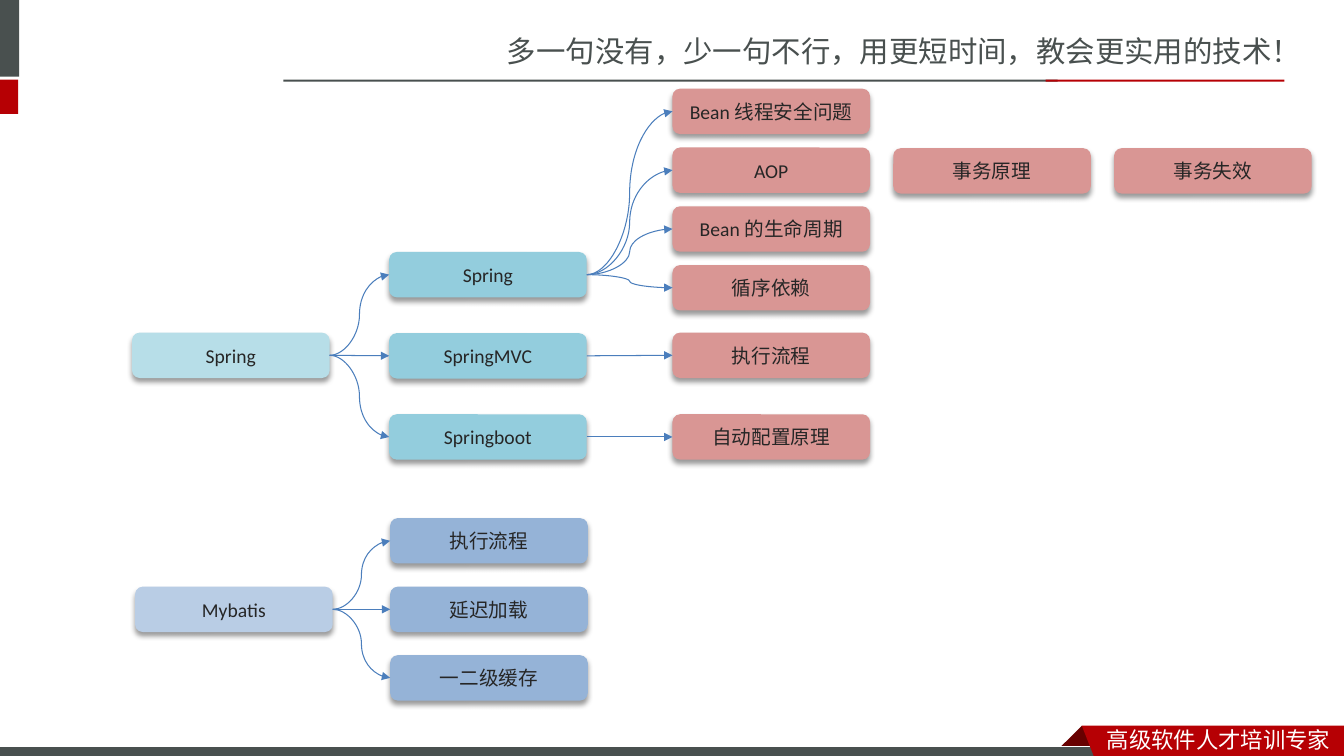
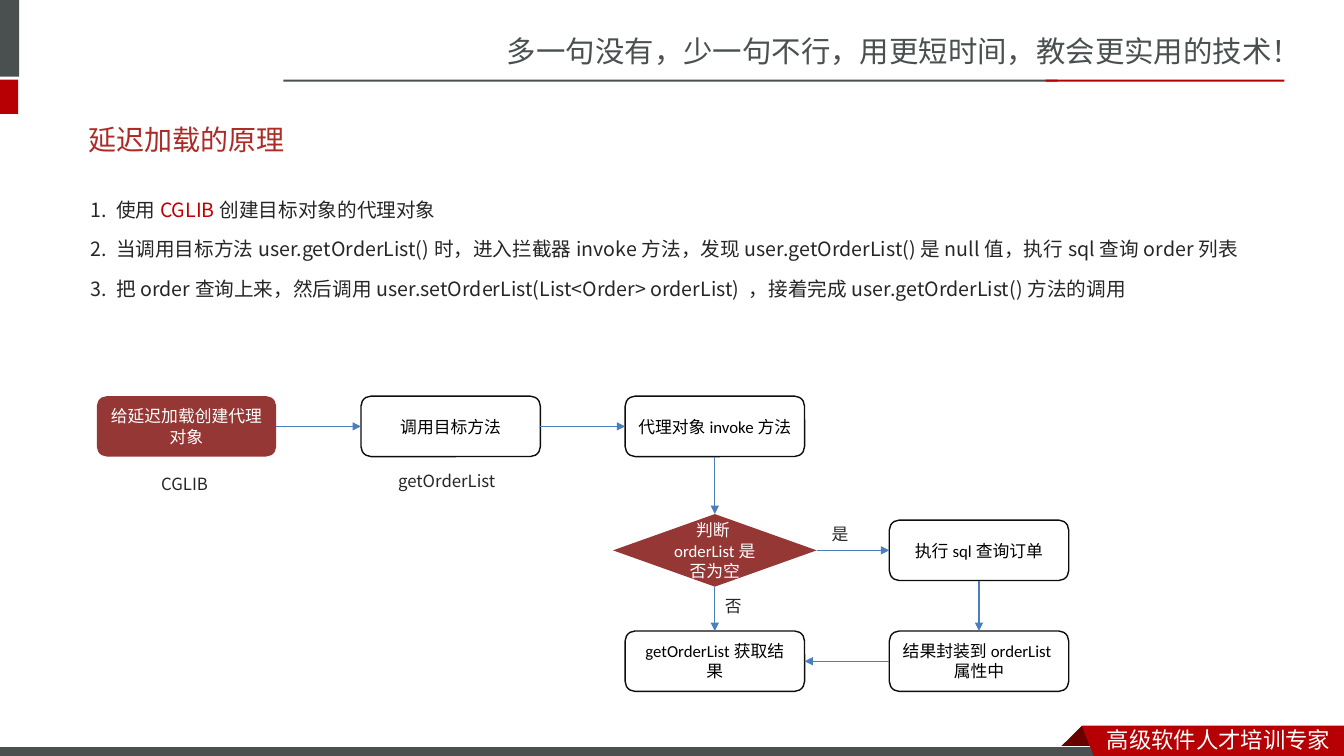
"""Build two slides: a framework topic map and the lazy-loading principle."""
from dataclasses import dataclass

import lxml.etree
import pptx
import pptx.dml.color
import pptx.enum.shapes
import pptx.enum.text
import pptx.oxml.ns
import pptx.shapes.autoshape
import pptx.shapes.connector
import pptx.slide
import pptx.text.text
import pptx.util

Inches = pptx.util.Inches
Shape = pptx.shapes.autoshape.Shape
Kind = pptx.enum.shapes.MSO_SHAPE
Connector = pptx.enum.shapes.MSO_CONNECTOR
Anchor = pptx.enum.text.MSO_ANCHOR
Align = pptx.enum.text.PP_ALIGN
TOP, LEFT, BOTTOM, RIGHT = range(4)


@dataclass(frozen=True)
class Theme:
    grey: str = "49504F"
    red: str = "B60004"
    fold: str = "680000"
    white: str = "FFFFFF"
    black: str = "000000"
    ink: str = "262626"
    title: str = "AD2A26"
    accent: str = "C00000"
    arrow: str = "4B7EBC"
    outline: str = "0D0D0D"
    step: str = "953735"
    spring_root: str = "B7DEE8"
    spring_branch: str = "93CDDD"
    mybatis_root: str = "B9CDE5"
    mybatis_branch: str = "95B3D7"
    topic: str = "D99694"
    slogan_size: float = 21
    title_size: float = 20
    footer_size: float = 16
    body_size: float = 14
    flow_size: float = 12
    line_width: float = 0.75
    outline_width: float = 1
    cjk_font: str = "Noto Sans CJK SC"
    body_font: str = "Noto Sans CJK JP"
    node_font: str = "Calibri"
    title_font: str = "Arial"


THEME = Theme()


@dataclass(frozen=True)
class Box:
    left: float
    top: float
    width: float
    height: float

    def lengths(self) -> tuple[int, ...]:
        return tuple(Inches(value) for value in (self.left, self.top, self.width, self.height))


@dataclass(frozen=True)
class Style:
    size: float
    font: str
    color: str


@dataclass(frozen=True)
class Band:
    box: Box
    color: str
    line: str | None = None


@dataclass(frozen=True)
class Label:
    box: Box
    text: str


BODY = Style(THEME.body_size, THEME.body_font, THEME.ink)
ACCENT = Style(THEME.body_size, THEME.body_font, THEME.accent)
CAPTION = Style(THEME.flow_size, THEME.body_font, THEME.ink)
NODE = Style(THEME.body_size, THEME.node_font, THEME.ink)
FLOW = Style(THEME.flow_size, THEME.node_font, THEME.black)
FLOW_LIGHT = Style(THEME.flow_size, THEME.node_font, THEME.white)

BANDS = (
    Band(Box(-0.06, 0, 0.25, 0.76), THEME.grey),
    Band(Box(-0.06, 0.79, 0.24, 0.34), THEME.red),
    Band(Box(2.81, 0.79, 7.68, 0.02), THEME.grey),
    Band(Box(10.37, 0.79, 2.37, 0.02), THEME.red),
)
FOOTER_BAR = Band(Box(-0.01, 7.41, 11, 0.12), THEME.grey, THEME.white)
FOLD_POINTS = ((10.73, 7.2), (10.95, 7.42), (10.94, 7.43), (10.52, 7.43), (10.51, 7.42))
RIBBON_POINTS = ((10.73, 7.2), (13.33, 7.2), (13.33, 7.54), (10.86, 7.53))


def rgb(color: str) -> pptx.dml.color.RGBColor:
    return pptx.dml.color.RGBColor.from_string(color)


def add_element(parent: lxml.etree._Element, tag: str, **attributes: str) -> lxml.etree._Element:
    return lxml.etree.SubElement(parent, pptx.oxml.ns.qn(tag), attributes)


def paint(shape: Shape, fill: str | None, line: str | None = None,
          width: float = THEME.line_width) -> None:
    shape.shadow.inherit = False
    if fill:
        shape.fill.solid()
        shape.fill.fore_color.rgb = rgb(fill)
    else:
        shape.fill.background()
    if line:
        shape.line.color.rgb = rgb(line)
        shape.line.width = pptx.util.Pt(width)
    else:
        shape.line.fill.background()


def add_run(paragraph: pptx.text.text._Paragraph, text: str, style: Style) -> None:
    run = paragraph.add_run()
    run.text = text
    run.font.size = pptx.util.Pt(style.size)
    run.font.name = style.font
    run.font.color.rgb = rgb(style.color)
    add_element(run._r.get_or_add_rPr(), "a:ea", typeface=THEME.cjk_font)


def add_text(slide: pptx.slide.Slide, box: Box,
             paragraphs: list[list[tuple[str, Style]]], spaced: bool = False,
             anchor: Anchor = Anchor.TOP) -> None:
    frame = slide.shapes.add_textbox(*box.lengths()).text_frame
    frame.word_wrap = True
    frame.vertical_anchor = anchor
    for index, runs in enumerate(paragraphs):
        paragraph = frame.add_paragraph() if index else frame.paragraphs[0]
        if spaced:
            paragraph.line_spacing = 1.5
            paragraph.space_before = pptx.util.Pt(runs[0][1].size * 0.2)
        for text, style in runs:
            add_run(paragraph, text, style)


def add_band(slide: pptx.slide.Slide, band: Band) -> None:
    shape = slide.shapes.add_shape(Kind.RECTANGLE, *band.box.lengths())
    paint(shape, band.color, band.line)


def add_outline(slide: pptx.slide.Slide, points: tuple[tuple[float, float], ...],
                color: str) -> None:
    corners = [(Inches(x), Inches(y)) for x, y in points]
    builder = slide.shapes.build_freeform(*corners[0])
    builder.add_line_segments(corners[1:], close=True)
    paint(builder.convert_to_shape(), color)


def add_node(slide: pptx.slide.Slide, box: Box, text: str, style: Style,
             fill: str | None = None, kind: Kind = Kind.ROUNDED_RECTANGLE) -> Shape:
    shape = slide.shapes.add_shape(kind, *box.lengths())
    paint(shape, fill, None if fill else THEME.outline, THEME.outline_width)
    frame = shape.text_frame
    frame.word_wrap = True
    frame.vertical_anchor = Anchor.MIDDLE
    paragraph = frame.paragraphs[0]
    paragraph.alignment = Align.CENTER
    add_run(paragraph, text, style)
    return shape


def add_topic(slide: pptx.slide.Slide, left: float, top: float, text: str, fill: str) -> Shape:
    shape = add_node(slide, Box(left, top, 1.96, 0.45), text, NODE, fill)
    effects = shape._element.spPr.find(pptx.oxml.ns.qn("a:effectLst"))
    shadow = add_element(effects, "a:outerShdw", blurRad="50800", dist="38100",
                         dir="5400000", algn="t", rotWithShape="0")
    color = add_element(shadow, "a:srgbClr", val=THEME.black)
    add_element(color, "a:alpha", val="40000")
    return shape


def connect(slide: pptx.slide.Slide, start: Shape, end: Shape,
            start_side: int = RIGHT, end_side: int = LEFT, curved: bool = False) -> None:
    kind = Connector.CURVE if curved else Connector.STRAIGHT
    connector = slide.shapes.add_connector(kind, 0, 0, 0, 0)
    connector.begin_connect(start, start_side)
    connector.end_connect(end, end_side)
    connector.line.color.rgb = rgb(THEME.arrow)
    connector.line.width = pptx.util.Pt(THEME.line_width)
    add_element(connector.line._get_or_add_ln(), "a:tailEnd", type="triangle")
    add_element(connector._element.spPr, "a:effectLst")


def add_branches(slide: pptx.slide.Slide, root: Shape, left: float, top: float,
                 pitch: float, texts: tuple[str, ...], fill: str) -> list[Shape]:
    branches = [add_topic(slide, left, top + pitch * row, text, fill)
                for row, text in enumerate(texts)]
    for branch in branches:
        connect(slide, root, branch, curved=abs(branch.top - root.top) > Inches(0.02))
    return branches


def add_slide(presentation: pptx.presentation.Presentation) -> pptx.slide.Slide:
    slide = presentation.slides.add_slide(presentation.slide_layouts[6])
    slogan = Style(THEME.slogan_size, THEME.cjk_font, THEME.grey)
    add_text(slide, Box(4.93, 0.28, 8.41, 0.47),
             [[("多一句没有，少一句不行，用更短时间，教会更实用的技术！", slogan)]])
    for band in BANDS:
        add_band(slide, band)
    add_outline(slide, FOLD_POINTS, THEME.fold)
    add_band(slide, FOOTER_BAR)
    add_outline(slide, RIBBON_POINTS, THEME.red)
    footer = Style(THEME.footer_size, THEME.cjk_font, THEME.white)
    add_text(slide, Box(10.88, 7.15, 2.45, 0.37), [[("高级软件人才培训专家", footer)]])
    return slide


def build_topic_map(slide: pptx.slide.Slide) -> None:
    topic_left, topic_step = 6.67, 2.19
    root = add_topic(slide, 1.31, 3.3, "Spring", THEME.spring_root)
    spring, mvc, boot = add_branches(
        slide, root, 3.86, 2.5, 1.61 / 2, ("Spring", "SpringMVC", "Springboot"),
        THEME.spring_branch)
    topics = ("Bean线程安全问题", "AOP", "Bean的生命周期", "循序依赖")
    add_branches(slide, spring, topic_left, 0.88, 1.75 / 3, topics, THEME.topic)
    add_branches(slide, mvc, topic_left, 3.3, 0, ("执行流程",), THEME.topic)
    add_branches(slide, boot, topic_left, 4.11, 0, ("自动配置原理",), THEME.topic)
    for column, text in enumerate(("事务原理", "事务失效"), start=1):
        add_topic(slide, topic_left + topic_step * column, 1.47, text, THEME.topic)
    mybatis = add_topic(slide, 1.34, 5.82, "Mybatis", THEME.mybatis_root)
    add_branches(slide, mybatis, 3.87, 5.14, 0.68, ("执行流程", "延迟加载", "一二级缓存"),
                 THEME.mybatis_branch)


def build_lazy_loading(slide: pptx.slide.Slide) -> None:
    title = Style(THEME.title_size, THEME.title_font, THEME.title)
    add_text(slide, Box(0.78, 1.1, 11.7, 0.57), [[("延迟加载的原理", title)]],
             anchor=Anchor.MIDDLE)
    add_text(slide, Box(0.8, 1.8, 11.8, 1.23), [
        [("1. 使用", BODY), ("CGLIB", ACCENT), ("创建目标对象的代理对象", BODY)],
        [("2. 当调用目标方法user.getOrderList()时，进入拦截器invoke方法，"
          "发现user.getOrderList()是null值，执行sql查询order列表", BODY)],
        [("3. 把order查询上来，然后调用user.setOrderList(List<Order> orderList) ，"
          "接着完成user.getOrderList()方法的调用", BODY)],
    ], spaced=True)

    def add_step(column: int, top: float, text: str, fill: str | None = None) -> Shape:
        box = Box(0.96 + 2.62 * column, top, 1.78, 0.6)
        return add_node(slide, box, text, FLOW_LIGHT if fill else FLOW, fill)

    proxy = add_step(0, 3.93, "给延迟加载创建代理对象", THEME.step)
    call = add_step(1, 3.93, "调用目标方法")
    invoke = add_step(2, 3.93, "代理对象invoke方法")
    query = add_step(3, 5.16, "执行sql查询订单")
    wrap = add_step(3, 6.26, "结果封装到orderList属性中")
    result = add_step(2, 6.26, "getOrderList获取结果")
    check = add_node(slide, Box(6.08, 5.1, 2.02, 0.72), "判断orderList是否为空",
                     FLOW_LIGHT, THEME.step, Kind.FLOWCHART_DECISION)
    for start, end, start_side, end_side in (
        (proxy, call, RIGHT, LEFT),
        (call, invoke, RIGHT, LEFT),
        (invoke, check, BOTTOM, TOP),
        (check, query, RIGHT, LEFT),
        (query, wrap, BOTTOM, TOP),
        (wrap, result, LEFT, RIGHT),
        (check, result, BOTTOM, TOP),
    ):
        connect(slide, start, end, start_side, end_side)
    for label in (
        Label(Box(1.5, 4.55, 0.99, 0.47), "CGLIB"),
        Label(Box(3.85, 4.52, 1.51, 0.47), "getOrderList"),
        Label(Box(8.15, 5.05, 0.45, 0.47), "是"),
        Label(Box(7.09, 5.76, 0.45, 0.47), "否"),
    ):
        add_text(slide, label.box, [[(label.text, CAPTION)]], spaced=True)


def main() -> None:
    presentation = pptx.Presentation()
    presentation.slide_width, presentation.slide_height = Inches(13.33), Inches(7.5)
    for build in (build_topic_map, build_lazy_loading):
        build(add_slide(presentation))
    presentation.save("out.pptx")


if __name__ == "__main__":
    main()
